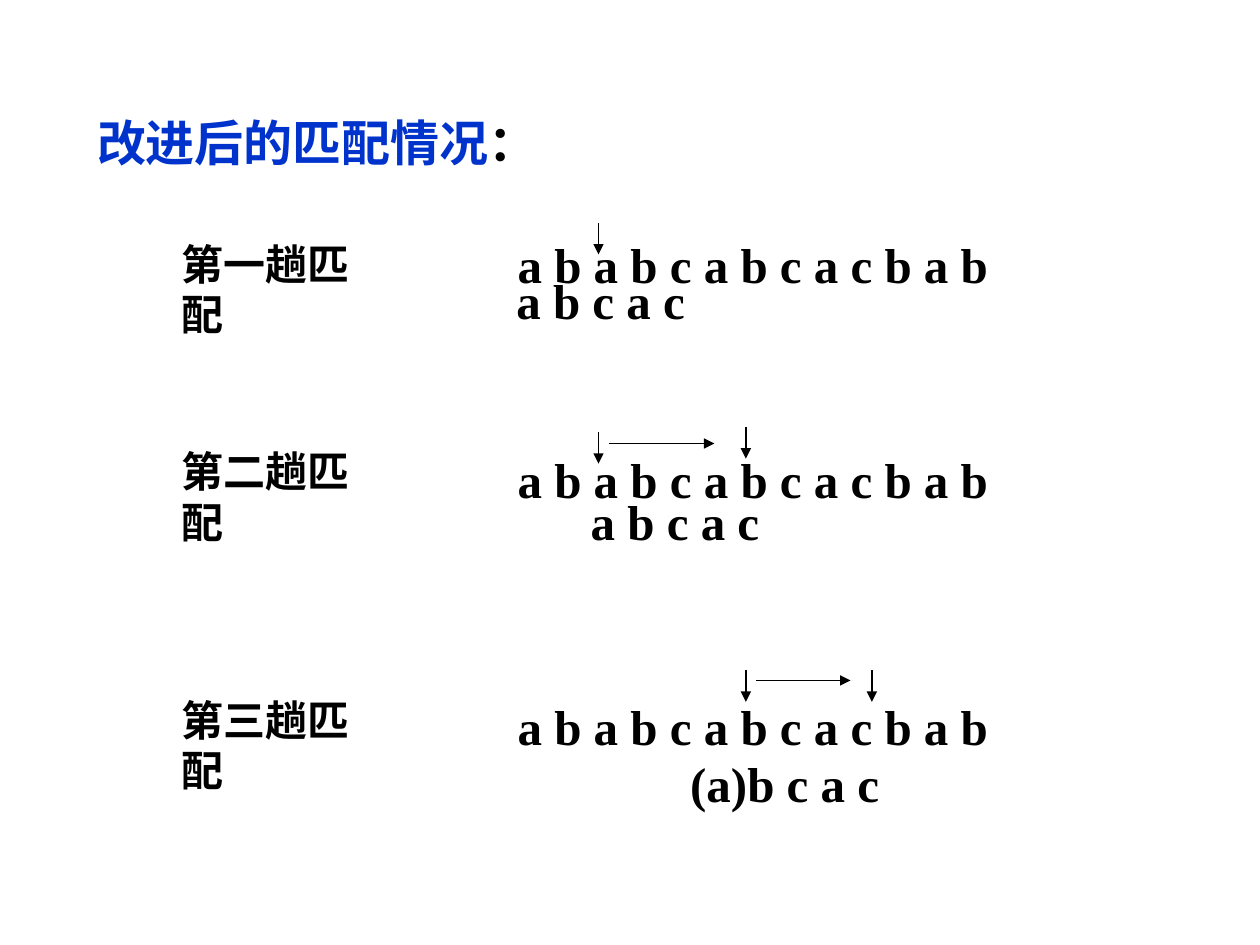
from lxml import etree
from pptx import Presentation
from pptx.dml.color import RGBColor
from pptx.enum.shapes import MSO_CONNECTOR
from pptx.enum.text import MSO_ANCHOR, MSO_AUTO_SIZE, PP_ALIGN
from pptx.oxml.ns import qn
from pptx.util import Inches, Pt

BLUE = RGBColor(0x00, 0x33, 0xCC)
BLACK = RGBColor(0, 0, 0)
FONT = "Times New Roman"
STRAIGHT = MSO_CONNECTOR.STRAIGHT
LEFT, MIDDLE = PP_ALIGN.LEFT, MSO_ANCHOR.MIDDLE
NO_FIT, GROW = MSO_AUTO_SIZE.NONE, MSO_AUTO_SIZE.SHAPE_TO_FIT_TEXT

TITLE = [("改进后的匹配情况", BLUE), ("：", BLACK)]
MAIN_STRING = "a b a b c a b c a c b a b"
LABEL_LEFT, MAIN_LEFT = 1.34, 4.01
LABEL_WIDTH, MAIN_WIDTH = 1.86, 3.93
LABEL_HEIGHT, STRING_HEIGHT = 0.5, 0.57
POINTER_LENGTH = 0.25

# pattern: (text, left, top, width); pointers: (x, top); moves: (x1, x2, y)
PASSES = [
    dict(label="第一趟匹配", label_top=1.84, main_top=1.81,
         pattern=("a b c a c", 4.0, 2.1, 1.54),
         pointers=[(4.75, 1.77)], moves=[]),
    dict(label="第二趟匹配", label_top=3.49, main_top=3.52,
         pattern=("a b c a c", 4.59, 3.85, 1.54),
         pointers=[(4.75, 3.43), (5.92, 3.39)], moves=[(4.83, 5.67, 3.52)]),
    dict(label="第三趟匹配", label_top=5.46, main_top=5.48,
         pattern=("(a)b c a c", 5.38, 5.93, 1.7),
         pointers=[(5.92, 5.32), (6.92, 5.32)], moves=[(6.0, 6.75, 5.4)]),
]


def add_run(paragraph, text, size=28, color=BLACK):
    run = paragraph.add_run()
    run.text = text
    run.font.name = FONT
    run.font.size = Pt(size)
    run.font.bold = True
    run.font.color.rgb = color


def add_text(shapes, text, left, top, width, height=STRING_HEIGHT, **run_format):
    box = shapes.add_textbox(Inches(left), Inches(top), Inches(width), Inches(height))
    frame = box.text_frame
    frame.word_wrap = False
    frame.auto_size = GROW
    add_run(frame.paragraphs[0], text, **run_format)


def add_arrow(shapes, x1, y1, x2, y2):
    arrow = shapes.add_connector(STRAIGHT, Inches(x1), Inches(y1), Inches(x2), Inches(y2))
    arrow.line.color.rgb = BLACK
    arrow.line.width = Pt(0.75)
    etree.SubElement(arrow.line._get_or_add_ln(), qn("a:tailEnd"), type="triangle")
    etree.SubElement(arrow._element.spPr, qn("a:effectLst"))


def add_title(slide):
    title = slide.shapes.title
    title.left, title.top = Inches(0.67), Inches(0.5)
    title.width, title.height = Inches(8.5), Inches(1.25)
    frame = title.text_frame
    frame.auto_size = NO_FIT
    frame.vertical_anchor = MIDDLE
    heading = frame.paragraphs[0]
    heading.alignment = LEFT
    for text, color in TITLE:
        add_run(heading, text, color=color)


def add_pass(slide, match):
    shapes = slide.shapes.add_group_shape().shapes
    add_text(shapes, match["label"], LABEL_LEFT, match["label_top"],
             LABEL_WIDTH, LABEL_HEIGHT, size=24)
    add_text(shapes, MAIN_STRING, MAIN_LEFT, match["main_top"], MAIN_WIDTH)
    add_text(shapes, *match["pattern"])
    for x, top in match["pointers"]:
        add_arrow(shapes, x, top, x, top + POINTER_LENGTH)
    for x1, x2, y in match["moves"]:
        add_arrow(shapes, x1, y, x2, y)


def main():
    prs = Presentation()
    prs.slide_width, prs.slide_height = Inches(10), Inches(7.5)
    slide = prs.slides.add_slide(prs.slide_layouts[5])
    add_title(slide)
    for match in PASSES:
        add_pass(slide, match)
    prs.save("out.pptx")


if __name__ == "__main__":
    main()
